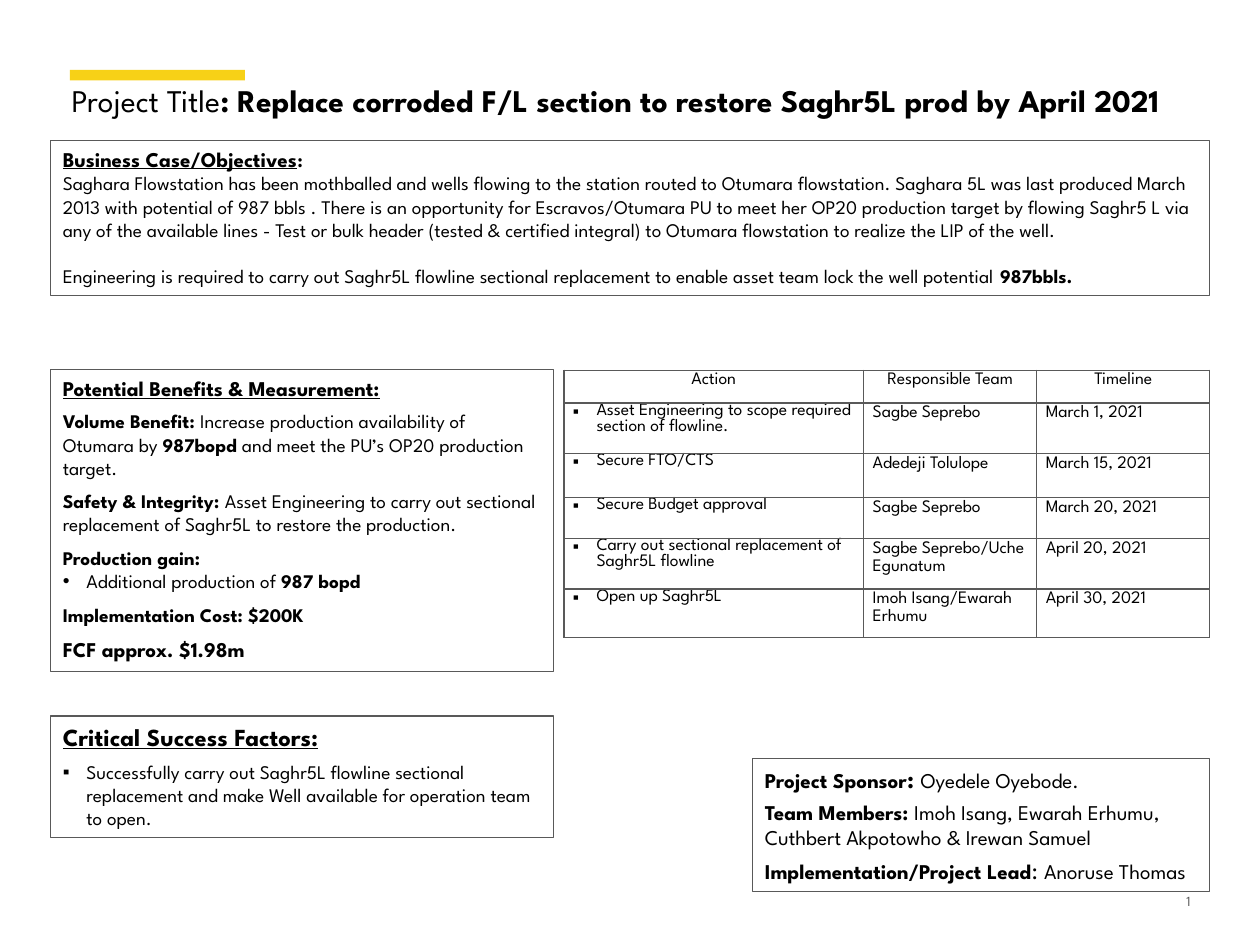
from lxml import etree
from pptx import Presentation
from pptx.dml.color import RGBColor
from pptx.enum.shapes import MSO_SHAPE as Shape
from pptx.enum.text import MSO_ANCHOR as Anchor, PP_ALIGN as Align
from pptx.oxml import parse_xml
from pptx.oxml.ns import nsdecls, qn
from pptx.util import Pt

BLACK = RGBColor(0x00, 0x00, 0x00)
WHITE = RGBColor(0xFF, 0xFF, 0xFF)
GRAY = RGBColor(0x59, 0x59, 0x59)
YELLOW = RGBColor(0xF7, 0xD1, 0x17)
FONT = "League Spartan"
INDENT = 13.5

presentation = Presentation()
presentation.slide_width, presentation.slide_height = Pt(720), Pt(540)
slide = presentation.slides.add_slide(presentation.slide_layouts[6])


def write_paragraph(paragraph, runs, bullet=None, align=Align.LEFT, before=0, after=0, color=BLACK):
    """Each run is (text, size, style); style holds b for bold, u for underlined."""
    if bullet:
        properties = paragraph._p.get_or_add_pPr()
        properties.set("marL", str(Pt(INDENT)))
        properties.set("indent", str(-Pt(INDENT)))
        etree.SubElement(properties, qn("a:buFont")).set("typeface", "Arial")
        etree.SubElement(properties, qn("a:buChar")).set("char", bullet)
    paragraph.alignment = align
    paragraph.space_before, paragraph.space_after = Pt(before), Pt(after)
    for text, size, style in runs:
        run = paragraph.add_run()
        run.text = text
        run.font.name, run.font.size = FONT, Pt(size)
        run.font.bold, run.font.underline = "b" in style, "u" in style
        run.font.color.rgb = color


# Accent bar
bar = slide.shapes.add_shape(Shape.RECTANGLE, Pt(40), Pt(40), Pt(100), Pt(6))
bar.shadow.inherit = False
bar.fill.solid()
bar.fill.fore_color.rgb = YELLOW
bar.line.fill.background()

# Framed text panels: position, fill, paragraphs as (runs, options)
business = [
    ([("Business Case/Objectives", 12, "bu"), (":", 11, "b")], {}),
    ([("Saghara Flowstation has been mothballed and wells flowing to the station routed to "
       "Otumara flowstation. Saghara 5L was last produced March 2013 with potential of 987 bbls . "
       "There is an opportunity for Escravos/Otumara PU to meet her OP20 production target by "
       "flowing Saghr5 L via any of the available lines - Test or bulk header (tested & certified "
       "integral) to Otumara flowstation to realize the LIP of the well.", 11, "")], {}),
    ([("Engineering is required to carry out Saghr5L flowline sectional replacement to enable "
       "asset team lock the well potential ", 11, ""), ("987bbls.", 11, "b")], {"before": 13}),
]
benefits = [
    ([("Potential Benefits & Measurement:", 12, "bu")], {"after": 5}),
    ([("Volume Benefit: ", 11, "b"),
      ("Increase production availability of Otumara by ", 11, ""), ("987bopd", 11, "b"),
      (" and meet the PU’s OP20 production target.", 11, "")], {}),
    ([("Safety & Integrity: ", 11, "b"),
      ("Asset Engineering to carry out sectional replacement of Saghr5L to restore the "
       "production.", 11, "")], {"before": 6}),
    ([("Production gain:", 11, "b")], {"before": 6}),
    ([("Additional production of ", 11, ""), ("987 bopd", 11, "b")], {"bullet": "•"}),
    ([("Implementation Cost: $200K", 11, "b")], {"before": 6}),
    ([("FCF approx. $1.98m", 12, "b")], {"before": 6}),
]
success_factors = [
    ([("Critical Success Factors:", 14, "bu")], {"after": 5, "align": Align.JUSTIFY}),
    ([("Successfully carry out Saghr5L flowline sectional replacement and make Well available "
       "for operation team to open.", 11, "")], {"bullet": "▪"}),
]
team = [
    ([("Project Sponsor", 12, "b"), (": ", 14, "b"), ("Oyedele Oyebode.", 12, "")], {}),
    ([("Team Members: ", 12, "b"),
      ("Imoh Isang, Ewarah Erhumu, Cuthbert Akpotowho & Irewan Samuel", 12, "")], {"before": 3}),
    ([("Implementation/Project Lead", 12, "b"), (": ", 14, ""), ("Anoruse Thomas", 12, "")],
     {"before": 3}),
]
panels = [
    (28.8, 80.2, 662.4, 88.6, True, business),
    (28.8, 211.2, 287.5, 172.4, True, benefits),
    (28.8, 409.2, 287.5, 69.3, False, success_factors),
    (430, 433.3, 261.2, 76, False, team),
]
for left, top, width, height, filled, paragraphs in panels:
    panel = slide.shapes.add_shape(Shape.RECTANGLE, Pt(left), Pt(top), Pt(width), Pt(height))
    panel.shadow.inherit = False
    if filled:
        panel.fill.solid()
        panel.fill.fore_color.rgb = WHITE
    else:
        panel.fill.background()
    panel.line.color.rgb, panel.line.width = GRAY, Pt(0.75)
    frame = panel.text_frame
    frame.word_wrap, frame.vertical_anchor = True, Anchor.TOP
    for index, (runs, options) in enumerate(paragraphs):
        paragraph = frame.add_paragraph() if index else frame.paragraphs[0]
        write_paragraph(paragraph, runs, **options)

# Action plan table
actions = [
    ("Action", "Responsible Team", "Timeline"),
    ("Asset Engineering to scope required section of flowline.", "Sagbe Seprebo", "March 1, 2021"),
    ("Secure FTO/CTS", "Adedeji Tolulope", "March 15, 2021"),
    ("Secure Budget approval", "Sagbe Seprebo", "March 20, 2021"),
    ("Carry out sectional replacement of Saghr5L flowline", "Sagbe Seprebo/Uche Egunatum",
     "April 20, 2021"),
    ("Open up Saghr5L", "Imoh Isang/Ewarah Erhumu", "April 30, 2021"),
]
column_widths = [171.3, 98.9, 98.9]
row_heights = [18.8, 28.8, 25.2, 23.4, 28.8, 27.7]
table = slide.shapes.add_table(len(actions), 3, Pt(322.2), Pt(211.6),
                               Pt(sum(column_widths)), Pt(sum(row_heights))).table
for column, width in zip(table.columns, column_widths):
    column.width = Pt(width)
for row_index, (row, height) in enumerate(zip(table.rows, row_heights)):
    row.height = Pt(height)
    for column_index, cell in enumerate(row.cells):
        is_header = row_index == 0
        has_bullet = column_index == 0 and not is_header
        cell.margin_left = cell.margin_right = Pt(5.2)
        cell.margin_top = cell.margin_bottom = Pt(0)
        cell.vertical_anchor = Anchor.TOP
        paragraph = cell.text_frame.paragraphs[0]
        write_paragraph(paragraph, [(actions[row_index][column_index], 10, "")],
                        bullet="▪" if has_bullet else None,
                        align=Align.CENTER if is_header else Align.LEFT)
        paragraph.line_spacing = 1.0 if has_bullet else 1.15
        cell_properties = cell._tc.get_or_add_tcPr()
        for side in ("lnL", "lnR", "lnT", "lnB"):
            cell_properties.append(parse_xml(
                f'<a:{side} {nsdecls("a")} w="{Pt(1)}"><a:solidFill>'
                f'<a:srgbClr val="{GRAY}"/></a:solidFill></a:{side}>'))
        cell.fill.background()

# Slide title and page number
title_runs = [("Project Title", 18, ""),
              (": Replace corroded F/L section to restore Saghr5L prod by April 2021", 18, "b")]
labels = [
    (41, 46, 638.6, 42.5, True, title_runs, Align.LEFT, BLACK),
    (659.5, 509.8, 20.9, 18.7, False, [("1", 8, "")], Align.RIGHT, GRAY),
]
for left, top, width, height, wrap, runs, align, color in labels:
    frame = slide.shapes.add_textbox(Pt(left), Pt(top), Pt(width), Pt(height)).text_frame
    frame.margin_left = frame.margin_right = frame.margin_top = frame.margin_bottom = Pt(0)
    frame.word_wrap = wrap
    write_paragraph(frame.paragraphs[0], runs, align=align, color=color)

presentation.save("out.pptx")
